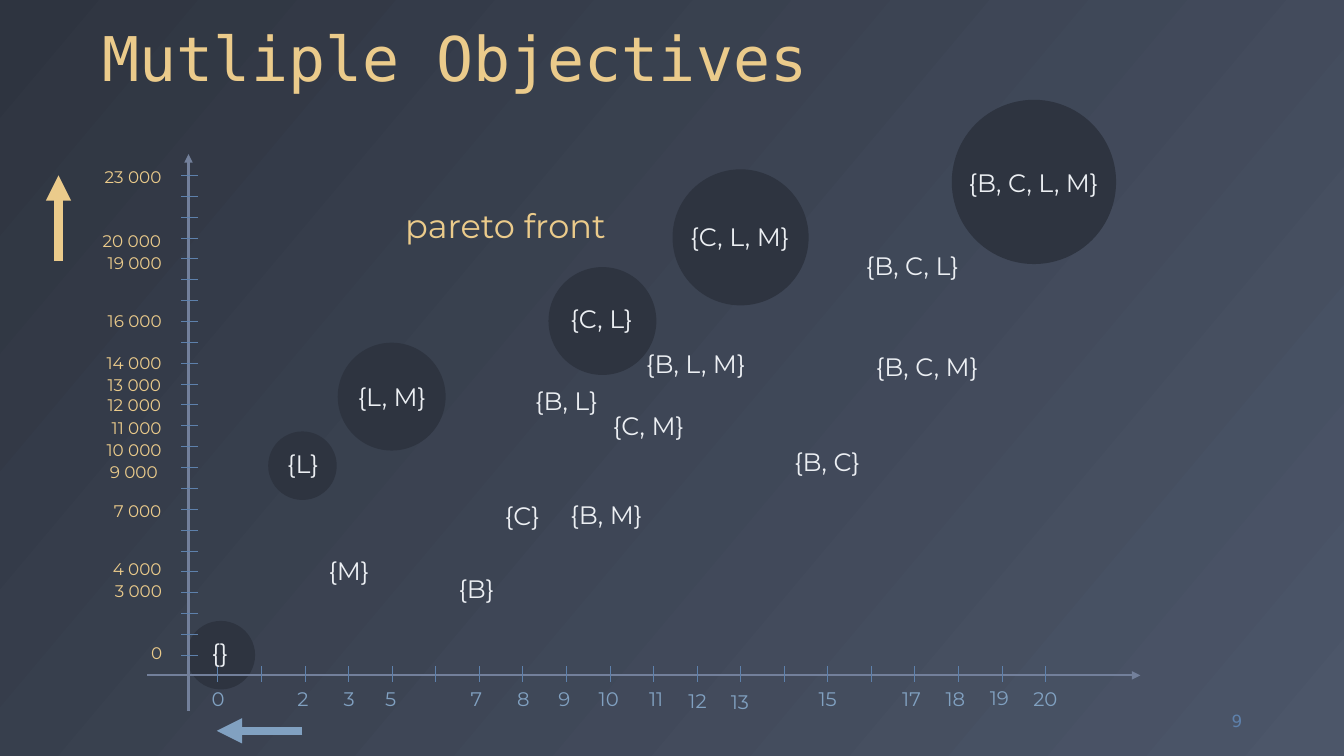
import pptx
import pptx.util
import pptx.dml.color
import pptx.enum.shapes
import pptx.enum.text
import pptx.oxml.xmlchemy

PX = 9144
SLIDE = (1333, 750)

THEME = {
    "night": "2E3440", "slate": "4C5669", "axis": "73809B", "tick": "5E81AC",
    "gold": "EBCB8B", "blue": "81A1C1", "snow": "ECEFF3",
    "title": 44, "front": 24, "set": 18, "cost": 14, "small": 12,
    "body_font": "Montserrat", "title_font": "DejaVu Sans Mono", "number_font": "DejaVu Sans",
}

TITLE = ("Mutliple Objectives", 92, 0, 1150, 99)
PAGE_NUMBER = ("9", 1159, 695, 83, 40)

PARETO_CIRCLES = [
    (944, 99, 163), (667, 168, 135), (544, 265, 107),
    (335, 340, 107), (185, 616, 68), (266, 428, 68),
]

SET_LABELS = [
    ("{B, C, L, M}", 951, 161, 150), ("{}", 200, 627, 37), ("{B}", 445, 564, 56),
    ("{C}", 491, 491, 55), ("{L}", 275, 440, 52), ("{M}", 316, 546, 61),
    ("{B, C}", 778, 438, 86), ("{B, L}", 521, 377, 83), ("{B, M}", 556, 490, 92),
    ("{C, L}", 556, 296, 82), ("{C, M}", 598, 402, 92), ("{L, M}", 345, 373, 88),
    ("{B, C, L}", 849, 243, 113), ("{B, C, M}", 859, 344, 123),
    ("{B, L, M}", 631, 341, 119), ("{C, L, M}", 675, 215, 119),
]
VALUE_LABELS = [
    ("23 000", 94, 161, 77), ("20 000", 92, 224, 79), ("19 000", 97, 246, 75),
    ("16 000", 97, 303, 75), ("14 000", 96, 345, 75), ("13 000", 97, 367, 74),
    ("12 000", 97, 387, 74), ("11 000", 101, 410, 71), ("10 000", 96, 431, 76),
    ("9 000", 99, 453, 68), ("7 000", 103, 492, 68), ("4 000", 102, 549, 69),
    ("3 000", 104, 571, 68), ("0", 140, 633, 31),
]
COST_LABELS = [
    ("0", 200, 677, 33), ("2", 285, 677, 31), ("3", 331, 677, 31), ("5", 372, 677, 31),
    ("7", 457, 677, 32), ("8", 503, 677, 33), ("9", 544, 677, 32), ("10", 584, 677, 40),
    ("11", 634, 677, 34), ("12", 673, 679, 38), ("13", 715, 680, 38), ("15", 802, 677, 38),
    ("17", 885, 677, 39), ("18", 928, 677, 40), ("19", 972, 676, 40), ("20", 1015, 677, 44),
]
FRONT_LABEL = [("pareto front", 392, 198, 223)]

LABEL_GROUPS = [
    (SET_LABELS, 40, "set", "snow"),
    (VALUE_LABELS, 30, "small", "gold"),
    (COST_LABELS, 34, "cost", "blue"),
    (FRONT_LABEL, 50, "front", "gold"),
]

ARROWS = [
    ((146, 670, 1131, 670), "axis", 1.5),
    ((187, 705, 187, 153), "axis", 1.5),
    ((58, 259, 58, 174), "gold", 6),
    ((300, 725, 215, 725), "blue", 6),
]
COST_TICKS = {"first": 216, "last": 1037, "count": 20, "ends": (661, 677)}
VALUE_TICKS = {"first": 174, "last": 650, "count": 24, "ends": (196, 180)}


def emu(*lengths):
    return [round(length * PX) for length in lengths]


def color(name):
    return pptx.dml.color.RGBColor.from_string(THEME[name])


def apply(target, values):
    for name, value in values.items():
        setattr(target, name, value)


def add_text(page, text, place, size, tint, font="body_font", frame=None, para=None):
    box = page.shapes.add_textbox(*emu(*place))
    apply(box.text_frame, frame or {
        "word_wrap": False,
        "auto_size": pptx.enum.text.MSO_AUTO_SIZE.SHAPE_TO_FIT_TEXT,
    })
    first = box.text_frame.paragraphs[0]
    apply(first, para or {})
    span = first.add_run()
    span.text = text
    apply(span.font, {"size": pptx.util.Pt(THEME[size]), "name": THEME[font]})
    span.font.color.rgb = color(tint)


def add_line(page, ends, tint, width, arrow=False):
    line = page.shapes.add_connector(pptx.enum.shapes.MSO_CONNECTOR.STRAIGHT, *emu(*ends))
    line.line.color.rgb = color(tint)
    line.line.width = pptx.util.Pt(width)
    properties = line._element.spPr
    if arrow:
        head = pptx.oxml.xmlchemy.OxmlElement("a:tailEnd")
        head.set("type", "triangle")
        properties.get_or_add_ln().append(head)
    properties.append(pptx.oxml.xmlchemy.OxmlElement("a:effectLst"))


def tick_places(ticks):
    step = (ticks["last"] - ticks["first"]) / (ticks["count"] - 1)
    return [ticks["first"] + step * index for index in range(ticks["count"])]


def paint_background(page):
    fill = page.background.fill
    fill.gradient()
    fill.gradient_angle = 320
    for stop, tint in zip(fill.gradient_stops, ("night", "slate")):
        stop.color.rgb = color(tint)


def add_circle(page, left, top, size):
    circle = page.shapes.add_shape(
        pptx.enum.shapes.MSO_SHAPE.OVAL, *emu(left, top, size, size))
    circle.shadow.inherit = False
    circle.fill.solid()
    circle.fill.fore_color.rgb = color("night")
    circle.line.fill.background()


def main():
    deck = pptx.Presentation()
    deck.slide_width, deck.slide_height = emu(*SLIDE)
    page = deck.slides.add_slide(deck.slide_layouts[6])
    paint_background(page)

    for circle in PARETO_CIRCLES:
        add_circle(page, *circle)

    anchor = pptx.enum.text.MSO_ANCHOR
    add_text(page, TITLE[0], TITLE[1:], "title", "gold", "title_font",
             {"word_wrap": True, "vertical_anchor": anchor.BOTTOM}, {"line_spacing": 0.9})
    add_text(page, PAGE_NUMBER[0], PAGE_NUMBER[1:], "small", "tick", "number_font",
             {"word_wrap": True, "vertical_anchor": anchor.MIDDLE},
             {"alignment": pptx.enum.text.PP_ALIGN.RIGHT})

    for ends, tint, width in ARROWS:
        add_line(page, ends, tint, width, arrow=True)
    top, bottom = COST_TICKS["ends"]
    for x in tick_places(COST_TICKS):
        add_line(page, (x, top, x, bottom), "tick", 0.5)
    right, left = VALUE_TICKS["ends"]
    for y in tick_places(VALUE_TICKS):
        add_line(page, (right, y, left, y), "tick", 0.5)

    for labels, height, size, tint in LABEL_GROUPS:
        for text, left, top, width in labels:
            add_text(page, text, (left, top, width, height), size, tint)

    deck.save("out.pptx")


if __name__ == "__main__":
    main()
